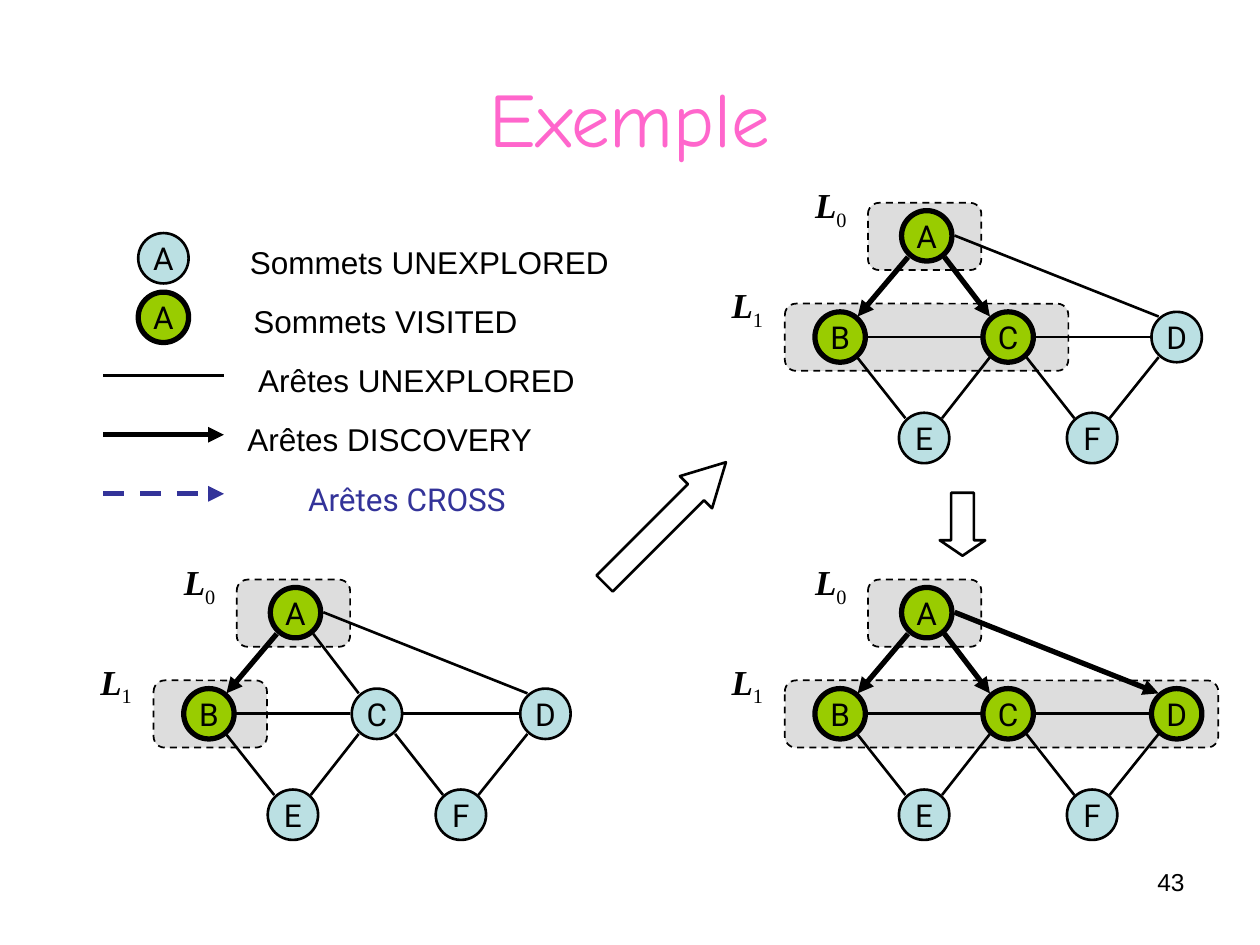
from lxml.etree import SubElement
from pptx import Presentation
from pptx.dml.color import RGBColor
from pptx.enum.dml import MSO_LINE
from pptx.enum.shapes import MSO_CONNECTOR, MSO_SHAPE
from pptx.enum.text import MSO_ANCHOR, MSO_AUTO_SIZE, PP_ALIGN
from pptx.oxml.ns import qn
from pptx.util import Pt

COLORS = {"ink": "000000", "title": "FF66CC", "cross": "333399",
          "level": "DDDDDD", "unexplored": "BBE0E3", "visited": "99CC00"}
NODE = 28.8
THIN, THICK = 1.5, 3

# Positions inside a graph, from its top left corner
NODES = {"A": (106.5, 18.9), "B": (57, 76.7), "C": (153, 76.7),
         "D": (249.3, 76.7), "E": (105, 134.4), "F": (201, 134.4)}
EDGES = {"AB": (110.2, 45.4, 81.4, 79.4), "AC": (131, 45.4, 157, 79.4),
         "AD": (136.8, 33.1, 253.4, 79.4), "BC": (87.1, 91, 152, 91),
         "CD": (182.2, 91, 248.4, 91), "BE": (81.4, 103, 108.7, 137.5),
         "CE": (157, 102.6, 129.6, 137.5), "CF": (177.8, 102.6, 205.2, 137.5),
         "DF": (253.4, 102.6, 225.4, 137.5)}


def rgb(name):
    return RGBColor.from_string(COLORS[name])


def write(s, runs, size=18, font="Roboto", color="ink", align=PP_ALIGN.CENTER,
          anchor=MSO_ANCHOR.TOP, wrap=False, grow=False):
    """Fill a shape with runs given as (text, bold italic, subscript)."""
    tf = s.text_frame
    tf.word_wrap = wrap
    tf.vertical_anchor = anchor
    if grow:
        tf.auto_size = MSO_AUTO_SIZE.SHAPE_TO_FIT_TEXT
    p = tf.paragraphs[0]
    p.alignment = align
    for text, strong, sub in runs:
        r = p.add_run()
        r.text = text
        r.font.size, r.font.name = Pt(size), font
        r.font.bold = r.font.italic = strong
        r.font.color.rgb = rgb(color)
        if sub:
            r.font._element.set("baseline", "-25000")


def add_text(slide, x, y, w, h, runs, **fmt):
    if isinstance(runs, str):
        runs = [(runs, False, False)]
    write(slide.shapes.add_textbox(Pt(x), Pt(y), Pt(w), Pt(h)), runs, **fmt)


def add_box(slide, kind, x, y, w, h, fill=None, width=THIN, dash=None):
    s = slide.shapes.add_shape(kind, Pt(x), Pt(y), Pt(w), Pt(h))
    s.shadow.inherit = False
    if fill:
        s.fill.solid()
        s.fill.fore_color.rgb = rgb(fill)
    else:
        s.fill.background()
    s.line.color.rgb = rgb("ink")
    s.line.width = Pt(width)
    s.line.dash_style = dash
    return s


def add_line(slide, x1, y1, x2, y2, arrow=False, color="ink", dash=None):
    s = slide.shapes.add_connector(MSO_CONNECTOR.STRAIGHT,
                                   Pt(x1), Pt(y1), Pt(x2), Pt(y2))
    s.line.color.rgb = rgb(color)
    s.line.width = Pt(THICK if arrow else THIN)
    s.line.dash_style = dash
    if arrow:
        SubElement(s.line._get_or_add_ln(), qn("a:tailEnd"), type="triangle")
    SubElement(s._element.spPr, qn("a:effectLst"))


def add_node(slide, x, y, name, visited):
    s = add_box(slide, MSO_SHAPE.OVAL, x, y, NODE, NODE,
                "visited" if visited else "unexplored", THICK if visited else THIN)
    write(s, [(name, False, False)], anchor=MSO_ANCHOR.MIDDLE)


def add_block_arrow(slide, x, y, w, h, rotation, head):
    s = add_box(slide, MSO_SHAPE.RIGHT_ARROW, x, y, w, h)
    s.adjustments[1] = head
    s.rotation = rotation


def add_legend(slide, x, y):
    pitch = 33.75
    # Labels centred on their column, each box a little wider than its text
    labels = [("Sommets UNEXPLORED", 186.4, 224), ("Sommets VISITED", 161.3, 172),
              ("Arêtes UNEXPLORED", 179, 204), ("Arêtes DISCOVERY", 163.7, 184)]
    for i, (text, center, w) in enumerate(labels):
        add_text(slide, x + center - w / 2, y + 2.2 + i * pitch, w, 28.8, text,
                 font="Arial", grow=True)
    add_text(slide, x + 105.5, y + 2.5 + 4 * pitch, 136, 28.8, "Arêtes CROSS",
             color="cross", grow=True)
    # Samples of vertices, then of edges
    for i in range(2):
        add_node(slide, x + 20, y + i * pitch, "A", i == 1)
    styles = [{}, {"arrow": True},
              {"arrow": True, "color": "cross", "dash": MSO_LINE.DASH}]
    for i, style in enumerate(styles, 2):
        line_y = y + 14 + i * pitch
        add_line(slide, x, line_y, x + 69, line_y, **style)


def add_graph(slide, x, y, visited, discovery, level_width):
    # Level boxes and their labels
    levels = [(87.3, 14.4, 64.8, 47.7, 0), (39.8, 72, level_width, 0, 56.9)]
    for i, (dx, dy, w, label_x, label_y) in enumerate(levels):
        add_box(slide, MSO_SHAPE.ROUNDED_RECTANGLE, x + dx, y + dy, w, 38.4,
                "level", 1, MSO_LINE.DASH)
        add_text(slide, x + label_x, y + label_y, 36.7, 34.6,
                 [("L", True, False), (str(i), False, True)],
                 size=20, font="Times New Roman", wrap=True, grow=True)
    # Vertices and edges
    for name, (dx, dy) in NODES.items():
        add_node(slide, x + dx, y + dy, name, name in visited)
    for name, (x1, y1, x2, y2) in EDGES.items():
        add_line(slide, x + x1, y + y1, x + x2, y + y2, arrow=name in discovery)


def main():
    prs = Presentation()
    prs.slide_width, prs.slide_height = Pt(720), Pt(540)
    slide = prs.slides.add_slide(prs.slide_layouts[6])

    # Title and page number
    add_text(slide, 36, 21.6, 648, 90, "Exemple", size=44, font="Comic Neue",
             color="title", anchor=MSO_ANCHOR.MIDDLE, wrap=True)
    add_text(slide, 516, 492, 168, 37.5, "43", size=14, font="Arial",
             align=PP_ALIGN.RIGHT, wrap=True)

    add_legend(slide, 59, 133.2)

    # Three steps of the search
    add_graph(slide, 48, 316.8, "AB", ["AB"], 64.8)
    add_graph(slide, 408.7, 101.5, "ABC", ["AB", "AC"], 162)
    add_graph(slide, 408.7, 316.8, "ABCD", ["AB", "AC", "AD"], 247.7)
    add_block_arrow(slide, 331.2, 285.8, 98, 26, 315, 0.93)
    add_block_arrow(slide, 532, 286.6, 36, 26, 90, 0.34)

    prs.save("out.pptx")


if __name__ == "__main__":
    main()
